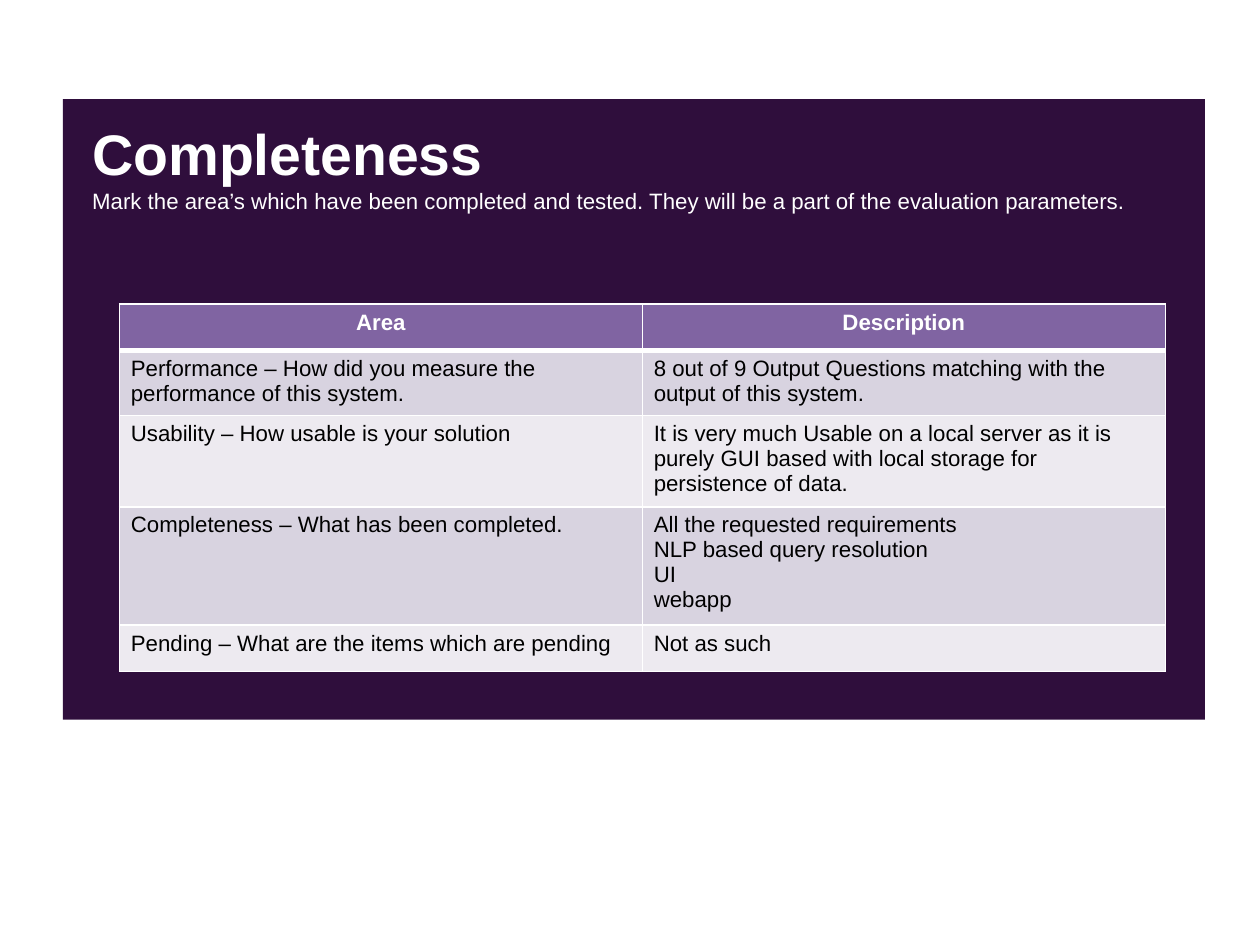
from dataclasses import dataclass

from lxml.etree import SubElement
from pptx import Presentation
from pptx.dml.color import RGBColor
from pptx.enum.shapes import MSO_SHAPE
from pptx.enum.text import PP_ALIGN
from pptx.oxml.ns import qn
from pptx.util import Cm, Pt


@dataclass(frozen=True)
class Theme:
    """Colours, font and sizes of the slide."""
    font: str = "Arial"
    panel: str = "2F0E3C"
    header: str = "8064A2"
    bands: tuple = ("D8D3E0", "EDEAF0")
    light: str = "FFFFFF"
    dark: str = "000000"
    title_size: int = 36
    body_size: int = 14
    thin: int = 1
    thick: int = 3


THEME = Theme()
HEADINGS = ("Area", "Description")
AREAS = (
    ("Performance – How did you measure the performance of this system.",
     "8 out of 9 Output Questions matching with the output of this system."),
    ("Usability – How usable is your solution",
     "It is very much Usable on a local server as it is purely GUI based "
     "with local storage for persistence of data."),
    ("Completeness – What has been completed.",
     "All the requested requirements\nNLP based query resolution \nUI\nwebapp"),
    ("Pending – What are the items which are pending", "Not as such"),
)


def place(deck, left, top, width, height):
    """Turn percentages of the slide into a position and size."""
    across, down = deck.slide_width / 100, deck.slide_height / 100
    return [round(length) for length in
            (left * across, top * down, width * across, height * down)]


def add_span(para, text, color, size=THEME.body_size, bold=False):
    """Add one styled run to a paragraph."""
    span = para.add_run()
    span.text = text
    span.font.name = THEME.font
    span.font.size = Pt(size)
    span.font.bold = bold
    span.font.color.rgb = RGBColor.from_string(color)


def add_panel(page, area):
    """Draw the dark panel behind the content."""
    panel = page.shapes.add_shape(MSO_SHAPE.RECTANGLE, *area)
    panel.shadow.inherit = False
    panel.fill.solid()
    panel.fill.fore_color.rgb = RGBColor.from_string(THEME.panel)
    panel.line.fill.background()


def add_heading(page, area, title, subtitle):
    """Write the title with its explanation below."""
    box = page.shapes.add_textbox(*area)
    frame = box.text_frame
    frame.word_wrap = True
    add_span(frame.paragraphs[0], title, THEME.light, THEME.title_size, True)
    add_span(frame.add_paragraph(), subtitle, THEME.light)


def add_border(cell, side, width):
    """Draw one border of a table cell."""
    line = SubElement(cell._tc.get_or_add_tcPr(), qn(f"a:ln{side}"), w=str(Pt(width)))
    fill = SubElement(line, qn("a:solidFill"))
    SubElement(fill, qn("a:srgbClr"), val=THEME.light)


def fill_cell(cell, text, row):
    """Style a cell by its row and write its lines."""
    is_header = row == 0
    widths = {"L": THEME.thin, "R": THEME.thin,
              "T": THEME.thick if row == 1 else THEME.thin,
              "B": THEME.thick if is_header else THEME.thin}
    for side, width in widths.items():
        add_border(cell, side, width)
    cell.fill.solid()
    background = THEME.header if is_header else THEME.bands[(row - 1) % 2]
    cell.fill.fore_color.rgb = RGBColor.from_string(background)
    frame = cell.text_frame
    for index, line in enumerate(text.split("\n")):
        para = frame.add_paragraph() if index else frame.paragraphs[0]
        para.alignment = PP_ALIGN.CENTER if is_header else PP_ALIGN.LEFT
        add_span(para, line, THEME.light if is_header else THEME.dark, bold=is_header)


def add_area_table(page, area, rows):
    """Add the table of areas and their descriptions."""
    table = page.shapes.add_table(len(rows), len(rows[0]), *area).table
    for row, texts in enumerate(rows):
        for column, text in enumerate(texts):
            fill_cell(table.cell(row, column), text, row)


def main():
    """Build and save the slide."""
    deck = Presentation()
    deck.slide_width, deck.slide_height = Cm(28), Cm(21)
    page = deck.slides.add_slide(deck.slide_layouts[6])
    rows = (HEADINGS, *AREAS)
    add_panel(page, place(deck, 4.99, 10.48, 90.65, 65.66))
    add_heading(page, place(deck, 6.42, 11.92, 87.93, 11), "Completeness",
                "Mark the area’s which have been completed and tested. "
                "They will be a part of the evaluation parameters.")
    add_area_table(page, place(deck, 9.48, 32.18, 83, 4.91 * len(rows)), rows)
    deck.save("out.pptx")


main()
